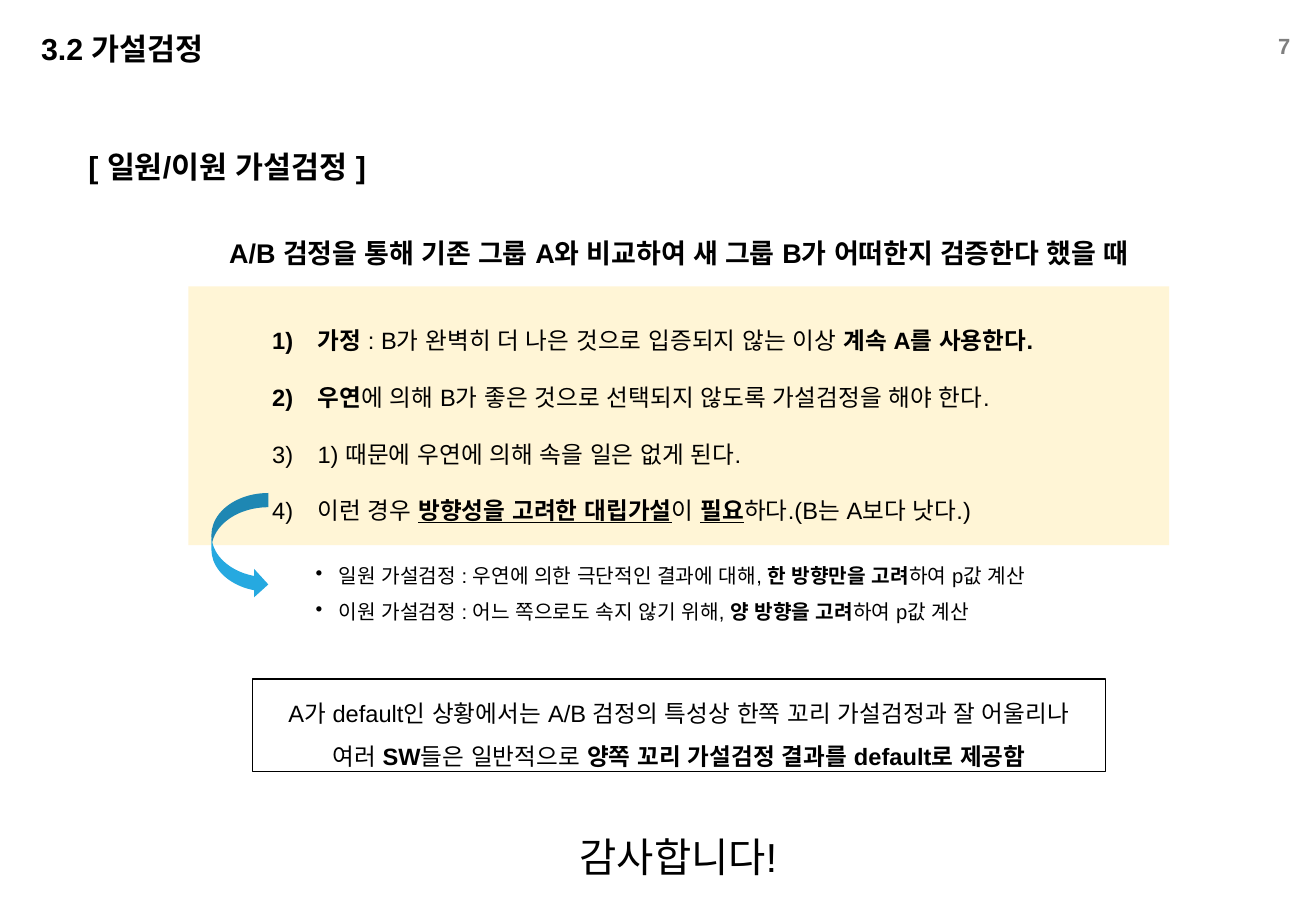
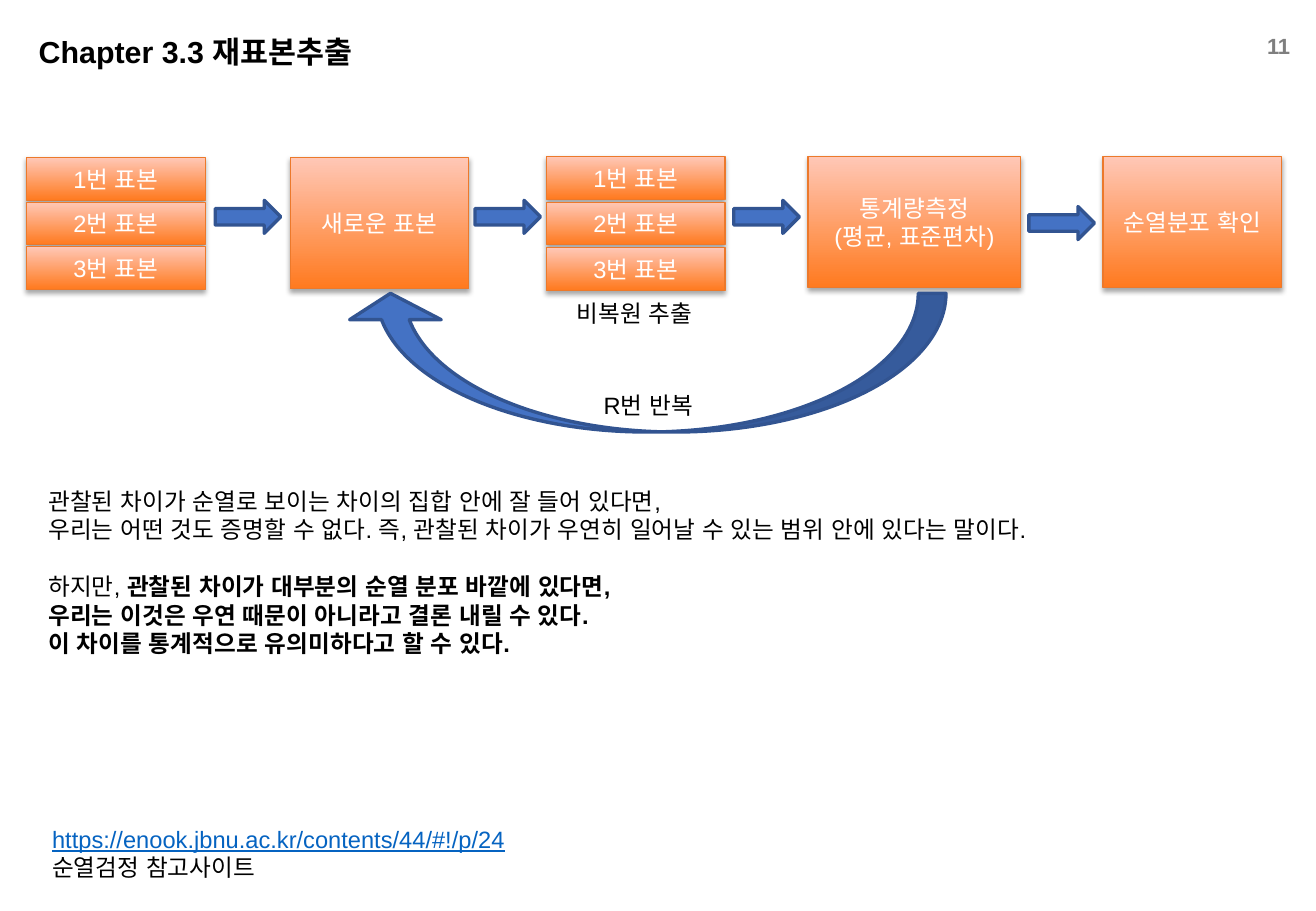
import dataclasses

import lxml.etree
import pptx
import pptx.dml.color
import pptx.enum.shapes
import pptx.enum.text
import pptx.oxml.ns
import pptx.util

Cm, Pt = pptx.util.Cm, pptx.util.Pt
RGB = pptx.dml.color.RGBColor.from_string
SHAPE = pptx.enum.shapes.MSO_SHAPE
ALIGN = pptx.enum.text.PP_ALIGN
ANCHOR = pptx.enum.text.MSO_ANCHOR


@dataclasses.dataclass(frozen=True)
class Theme:
    font: str = "Arial"
    black: str = "000000"
    white: str = "FFFFFF"
    gray: str = "7F7F7F"
    link: str = "0563C1"
    band: str = "FFE699"
    sky: str = "26A9E0"
    blue: str = "4472C4"
    navy: str = "325491"
    orange: str = "FF7A1F"
    peach: str = "FFC7B6"
    rim: str = "EC792B"
    title: int = 18
    lead: int = 16
    body: int = 14
    page: int = 13
    small: int = 12
    thanks: int = 24


THEME = Theme()
CENTER = {"alignment": ALIGN.CENTER}


def apply(target, values):
    for name, value in values.items():
        setattr(target, name, value)


def add_node(parent, tag, **attrs):
    return lxml.etree.SubElement(parent, pptx.oxml.ns.qn(tag), attrs)


def add_run(para, part, size, color, bold):
    """Add a run; part is plain text or a pair of text and font values."""
    text, extra = (part, {}) if isinstance(part, str) else part
    extra = {"bold": bold, "color": color, **extra}
    run = para.add_run()
    run.text = text
    run.font.color.rgb = RGB(extra.pop("color"))
    apply(run.font, {"name": THEME.font, "size": Pt(size), **extra})
    add_node(run._r.get_or_add_rPr(), "a:ea", typeface=THEME.font)


def add_bullet(para, indent, tag, attrs):
    props = para._p.get_or_add_pPr()
    props.set("marL", str(Cm(indent)))
    props.set("indent", str(-Cm(indent)))
    add_node(add_node(props, "a:buClr"), "a:srgbClr", val=THEME.black)
    add_node(props, tag, **attrs)


def write(shape, lines, size=THEME.body, color=THEME.black, bold=False,
          form=None, bullet=None, gaps=None, frame=None):
    """Fill a shape; each line is a text or a list of run parts."""
    apply(shape.text_frame, {"word_wrap": True, **(frame or {})})
    for index, line in enumerate(lines):
        paras = shape.text_frame
        para = paras.add_paragraph() if index else paras.paragraphs[0]
        if bullet:
            add_bullet(para, *bullet)
        apply(para, form or {})
        if gaps and index in gaps:
            para.space_before = Pt(gaps[index])
        for part in [line] if isinstance(line, str) else line:
            add_run(para, part, size, color, bold)


def add_text(slide, place, lines, **style):
    box = slide.shapes.add_textbox(*map(Cm, place))
    write(box, lines, **style)


def add_shape(slide, kind, place, fill=None, line=None, width=0.75):
    shape = slide.shapes.add_shape(kind, *map(Cm, place))
    shape.shadow.inherit = False
    if fill:
        shape.fill.solid()
        shape.fill.fore_color.rgb = RGB(fill)
    else:
        shape.fill.background()
    if line:
        shape.line.color.rgb = RGB(line)
        shape.line.width = Pt(width)
    else:
        shape.line.fill.background()
    return shape


def add_band(slide, place):
    band = add_shape(slide, SHAPE.RECTANGLE, place, THEME.band)
    color = band._element.spPr.find(".//" + pptx.oxml.ns.qn("a:srgbClr"))
    add_node(color, "a:alpha", val="40000")


def add_arrow(slide, kind, place):
    return add_shape(slide, kind, place, THEME.blue, THEME.navy, 2)


def add_step(slide, place, *lines):
    """Draw a shaded, shadowed box of the flow."""
    box = add_shape(slide, SHAPE.RECTANGLE, place, line=THEME.rim)
    box.fill.gradient()
    box.fill.gradient_angle = 90
    for stop, color in zip(box.fill.gradient_stops,
                           (THEME.orange, THEME.peach)):
        stop.color.rgb = RGB(color)
    effects = box._element.spPr.find(pptx.oxml.ns.qn("a:effectLst"))
    shadow = add_node(effects, "a:outerShdw", blurRad=str(Pt(3.1)),
                      dist=str(Pt(1.8)), dir="5400000", rotWithShape="0")
    color = add_node(shadow, "a:srgbClr", val=THEME.black)
    add_node(color, "a:alpha", val="35000")
    write(box, lines, color=THEME.white, form=CENTER,
          frame={"vertical_anchor": ANCHOR.MIDDLE})


def add_stack(slide, left, top, pitch):
    for row in range(3):
        add_step(slide, (left, top + row * pitch, 3.73, 0.89),
                 f"{row + 1}번 표본")


def start_slide(deck, left, top, title, page):
    slide = deck.slides.add_slide(deck.slide_layouts[6])
    add_text(slide, (left, top, 15.27, 1.02), [title],
             size=THEME.title, bold=True)
    add_text(slide, (25.7, 0.56, 1.47, 0.81), [page], size=THEME.page,
             color=THEME.gray, bold=True, form={"alignment": ALIGN.RIGHT},
             frame={"vertical_anchor": ANCHOR.MIDDLE,
                    "margin_left": Cm(0.2), "margin_right": Cm(0.2),
                    "margin_top": Cm(0.1), "margin_bottom": Cm(0.1)})
    return slide


def draw_test(deck):
    slide = start_slide(deck, 0.61, 0.51, "3.2 가설검정", "7")
    strong = {"bold": True}
    marked = {"bold": True, "underline": True}
    add_band(slide, (3.94, 5.99, 20.5, 5.41))
    add_text(slide, (1.6, 2.97, 8.03, 0.94), ["[ 일원/이원 가설검정 ]"],
             size=THEME.title, bold=True)
    add_text(slide, (3.56, 4.83, 21.26, 0.94),
             ["A/B 검정을 통해 기존 그룹 A와 비교하여 새 그룹 B가 "
              "어떠한지 검증한다 했을 때"],
             size=THEME.lead, bold=True, form=CENTER)
    add_text(slide, (5.44, 6.1, 17.5, 4.85), [
        [("가정 ", strong),
         ": B가 완벽히 더 나은 것으로 입증되지 않는 이상 ",
         ("계속 A를 사용한다.", strong)],
        [("우연", strong),
         "에 의해 B가 좋은 것으로 선택되지 않도록 가설검정을 해야 한다."],
        "1) 때문에 우연에 의해 속을 일은 없게 된다.",
        ["이런 경우 ", ("방향성을 고려한 대립가설", marked), "이 ",
         ("필요", marked), "하다.(B는 A보다 낫다.)"],
    ], form={"line_spacing": 2.0},
        bullet=(0.95, "a:buAutoNum", {"type": "arabicParenR"}))
    add_shape(slide, SHAPE.CURVED_RIGHT_ARROW, (4.42, 10.31, 1.19, 2.21),
              THEME.sky)
    add_text(slide, (6.35, 11.4, 16.59, 1.7), [
        ["일원 가설검정 : 우연에 의한 극단적인 결과에 대해, ",
         ("한 방향만을 고려", strong), "하여 p값 계산"],
        ["이원 가설검정 : 어느 쪽으로도 속지 않기 위해, ",
         ("양 방향을 고려", strong), "하여 p값 계산"],
    ], size=THEME.small, form={"line_spacing": 1.5},
        bullet=(0.48, "a:buChar", {"char": "•"}))
    note = add_shape(slide, SHAPE.RECTANGLE, (5.28, 14.2, 17.83, 1.93),
                     line=THEME.black)
    write(note, [
        "A가 default인 상황에서는 A/B 검정의 특성상 한쪽 꼬리 "
        "가설검정과 잘 어울리나",
        ["여러 ", ("SW", strong), "들은 일반적으로 ",
         ("양쪽 꼬리 가설검정 결과를 default로 제공함", strong)],
    ], form={**CENTER, "line_spacing": 1.5},
        frame={"vertical_anchor": ANCHOR.TOP})
    add_text(slide, (11.68, 17.27, 5, 1.5), ["감사합니다!"],
             size=THEME.thanks, form=CENTER)


def draw_sample(deck):
    slide = start_slide(deck, 0.56, 0.56, "Chapter 3.3 재표본추출", "11")
    strong = {"bold": True}
    add_stack(slide, 0.56, 3.3, 0.93)
    add_step(slide, (6.07, 3.3, 3.73, 2.74), "새로운 표본")
    add_stack(slide, 11.43, 3.28, 0.95)
    add_step(slide, (16.89, 3.28, 4.45, 2.74),
             "통계량측정", "(평균, 표준편차)")
    add_step(slide, (23.06, 3.28, 3.73, 2.74), "순열분포 확인")
    for left, top in ((4.5, 4.19), (9.93, 4.19), (15.34, 4.19),
                      (21.51, 4.32)):
        add_arrow(slide, SHAPE.RIGHT_ARROW, (left, top, 1.37, 0.69))
    loop = add_arrow(slide, SHAPE.CURVED_LEFT_ARROW,
                     (12.04, 1.3, 2.9, 12.57))
    loop.rotation = 90
    for index, value in enumerate((0.2, 0.66, 0.19)):
        loop.adjustments[index] = value
    add_text(slide, (11.81, 6.12, 3.35, 0.86), ["비복원 추출"])
    add_text(slide, (12.37, 8.05, 3.35, 0.86), ["R번 반복"])
    add_text(slide, (0.76, 10.06, 24.94, 4.45), [
        "관찰된 차이가 순열로 보이는 차이의 집합 안에 잘 들어 있다면,",
        "우리는 어떤 것도 증명할 수 없다. 즉, 관찰된 차이가 우연히 "
        "일어날 수 있는 범위 안에 있다는 말이다.",
        ["하지만, ",
         ("관찰된 차이가 대부분의 순열 분포 바깥에 있다면,", strong)],
        [("우리는 이것은 우연 때문이 아니라고 결론 내릴 수 있다.", strong)],
        [("이 차이를 통계적으로 유의미하다고 할 수 있다.", strong)],
    ], gaps={2: 16.8})
    add_text(slide, (0.84, 17.12, 10.67, 1.45), [
        [("https://enook.jbnu.ac.kr/contents/44/#!/p/24",
          {"color": THEME.link, "underline": True})],
        "순열검정 참고사이트",
    ])


def main():
    deck = pptx.Presentation()
    apply(deck, {"slide_width": Cm(27.51), "slide_height": Cm(19.05)})
    draw_test(deck)
    draw_sample(deck)
    deck.save("out.pptx")


if __name__ == "__main__":
    main()
